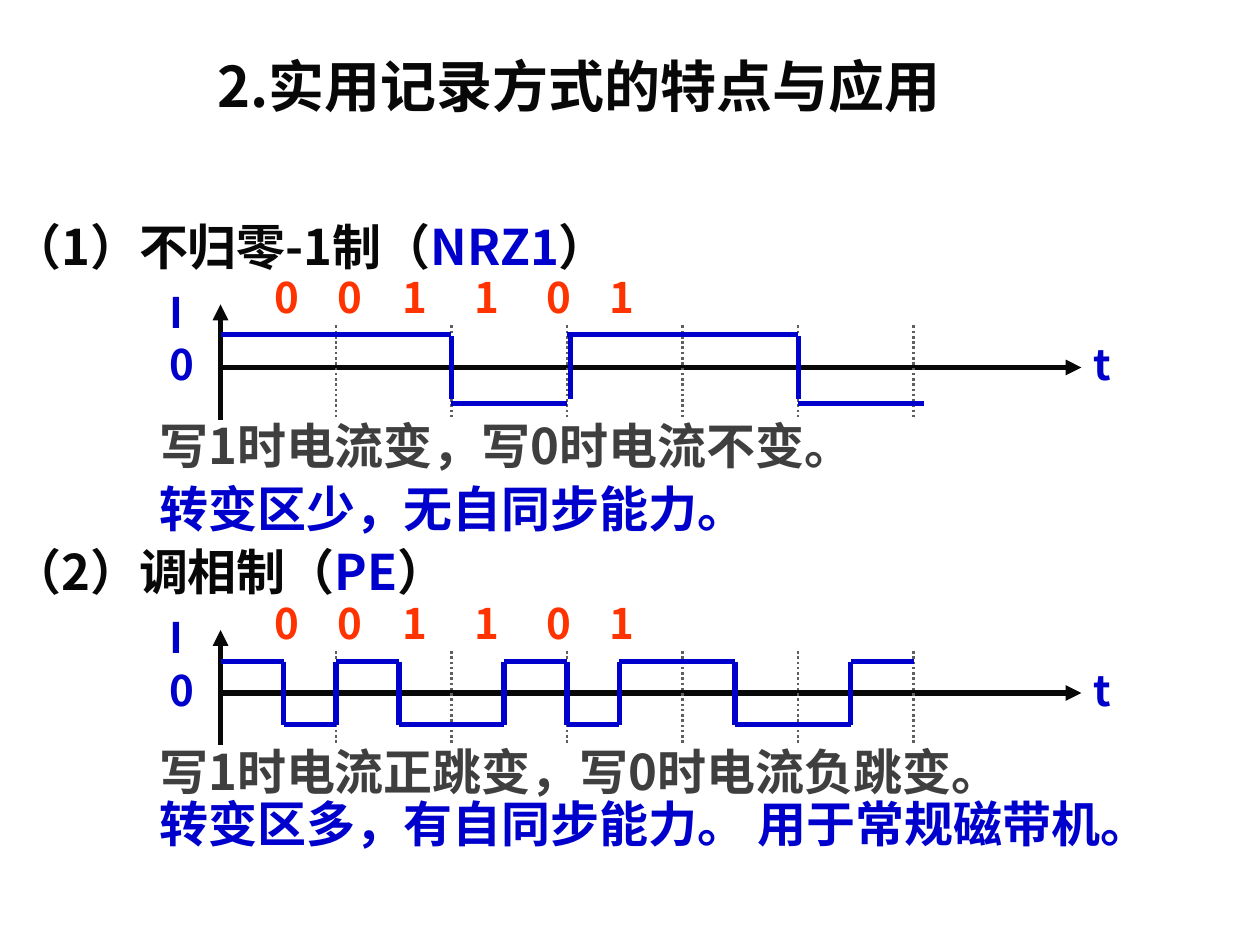
import pptx
import pptx.util
import pptx.dml.color
import pptx.enum.dml
import pptx.enum.shapes
import pptx.enum.text
import pptx.oxml
import lxml.etree

Pt = pptx.util.Pt
FONT = "Noto Sans CJK SC"
BLACK, BLUE, GRAY, RED = "080808", "0000CC", "3F3F3F", "FF3300"
DOTTED = pptx.enum.dml.MSO_LINE.ROUND_DOT


def write_text(shape, box, parts, size, spacing=1.0, tabs=()):
    shape.left, shape.top, shape.width, shape.height = map(Pt, box)
    frame = shape.text_frame
    frame_format = {
        "word_wrap": True,
        "auto_size": pptx.enum.text.MSO_AUTO_SIZE.SHAPE_TO_FIT_TEXT,
        "vertical_anchor": pptx.enum.text.MSO_ANCHOR.TOP,
    }
    for name, value in frame_format.items():
        setattr(frame, name, value)
    paragraph = frame.paragraphs[0]
    paragraph.alignment = pptx.enum.text.PP_ALIGN.LEFT
    paragraph.line_spacing = spacing
    properties = paragraph._p.get_or_add_pPr()
    if tabs:
        tab_list = lxml.etree.SubElement(properties, pptx.oxml.ns.qn("a:tabLst"))
        for position in tabs:
            tab = lxml.etree.SubElement(tab_list, pptx.oxml.ns.qn("a:tab"))
            tab.set("pos", str(Pt(position)))
            tab.set("algn", "l")
    for text, color in parts:
        run = paragraph.add_run()
        run.text = text
        for name, value in {"name": FONT, "size": Pt(size), "bold": True}.items():
            setattr(run.font, name, value)
        run.font.color.rgb = pptx.dml.color.RGBColor.from_string(color)
        east_asian = lxml.etree.SubElement(run._r.get_or_add_rPr(), pptx.oxml.ns.qn("a:ea"))
        east_asian.set("typeface", FONT)


def draw_line(shapes, start, end, color, width=3, dash=None, arrow=None):
    connector = shapes.add_connector(
        pptx.enum.shapes.MSO_CONNECTOR.STRAIGHT, *map(Pt, start + end))
    connector.line.color.rgb = pptx.dml.color.RGBColor.from_string(color)
    connector.line.width = Pt(width)
    if dash:
        connector.line.dash_style = dash
    properties = connector._element.spPr
    if arrow:
        arrowhead = lxml.etree.SubElement(
            properties.find(pptx.oxml.ns.qn("a:ln")), pptx.oxml.ns.qn("a:" + arrow))
        arrowhead.set("type", "triangle")
    lxml.etree.SubElement(properties, pptx.oxml.ns.qn("a:effectLst"))


presentation = pptx.Presentation()
presentation.slide_width, presentation.slide_height = Pt(720), Pt(540)
slide = presentation.slides.add_slide(presentation.slide_layouts[5])
write_text(slide.shapes.title, (117, 26, 456, 45.5),
           [("2.实用记录方式的特点与应用", BLACK)], 32)

diagrams = [
    {
        "offset": 0, "heading": "（1）不归零-1制（", "code": "NRZ1",
        "high": 191, "low": 230.4, "edges": [126, 258, 324, 456, 528],
        "jumps": [258, 326, 456.5], "jump_span": (192, 228),
        "notes": [("写1时电流变，写0时电流不变。", GRAY, 84, 234, 444),
                  ("转变区少，无自同步能力。", BLUE, 84, 270, 444)],
    },
    {
        "offset": 186, "heading": "（2）调相制（", "code": "PE",
        "high": 378, "low": 414,
        "edges": [126, 162, 192, 228, 288, 324, 354, 420, 486, 522],
        "jumps": [162, 192, 228, 288, 324, 354, 420, 486], "jump_span": (378, 414),
        "notes": [("写1时电流正跳变，写0时电流负跳变。", GRAY, 84, 420, 636),
                  ("转变区多，有自同步能力。", BLUE, 84, 450, 444),
                  ("用于常规磁带机。", BLUE, 426, 450, 294)],
    },
]

for diagram in diagrams:
    offset = diagram["offset"]
    write_text(slide.shapes.add_textbox(0, 0, 0, 0), (0, 120 + offset, 396, 41),
               [(diagram["heading"], BLACK), (diagram["code"], BLUE), ("）", BLACK)], 28)
    write_text(slide.shapes.add_textbox(0, 0, 0, 0), (150, 162 + offset, 480, 24.5),
               [("\t".join("001101"), RED)], 24, 0.6, (36, 73, 114, 155, 191))

    axes = slide.shapes.add_group_shape().shapes
    draw_line(axes, (126, 174 + offset), (126, 240 + offset), BLACK, arrow="headEnd")
    draw_line(axes, (126, 210 + offset), (618, 210 + offset), BLACK, arrow="tailEnd")
    for index in range(6):
        x = 192 + 66 * index
        draw_line(axes, (x, 186 + offset), (x, 240 + offset), "5F5F5F", 1.5, DOTTED)
    for label, left, top in [("I", 90, 168), ("0", 90, 198), ("t", 618, 198)]:
        write_text(axes.add_textbox(0, 0, 0, 0), (left, top + offset, 48, 27.5),
                   [(label, BLUE)], 24, 0.7)

    edges = diagram["edges"]
    for index, (start, end) in enumerate(zip(edges, edges[1:])):
        level = diagram["low"] if index % 2 else diagram["high"]
        draw_line(slide.shapes, (start, level), (end, level), BLUE)
    top, bottom = diagram["jump_span"]
    for x in diagram["jumps"]:
        draw_line(slide.shapes, (x, top), (x, bottom), BLUE)

    for text, color, left, top, width in diagram["notes"]:
        write_text(slide.shapes.add_textbox(0, 0, 0, 0), (left, top, width, 41),
                   [(text, color)], 28)

presentation.save("out.pptx")
